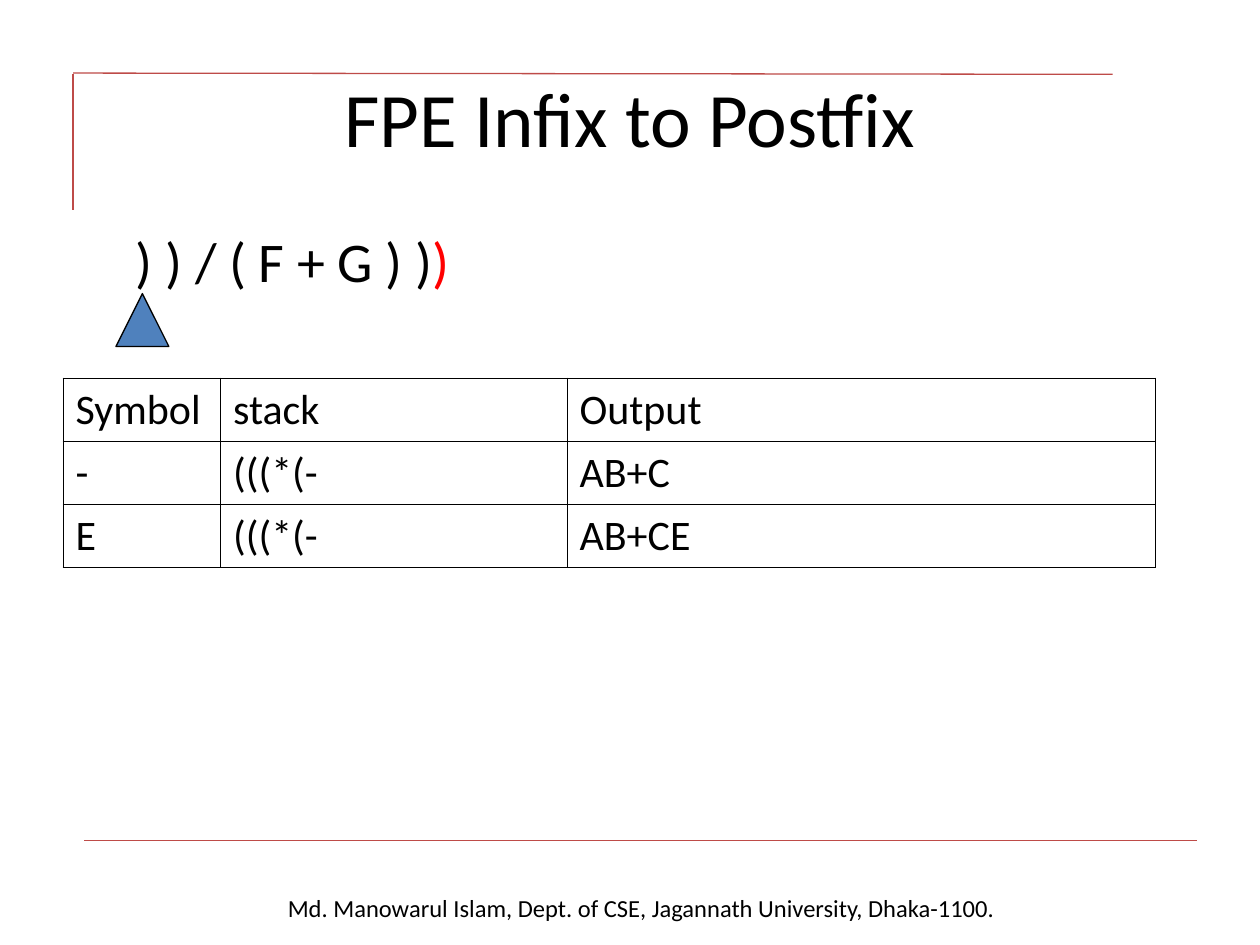
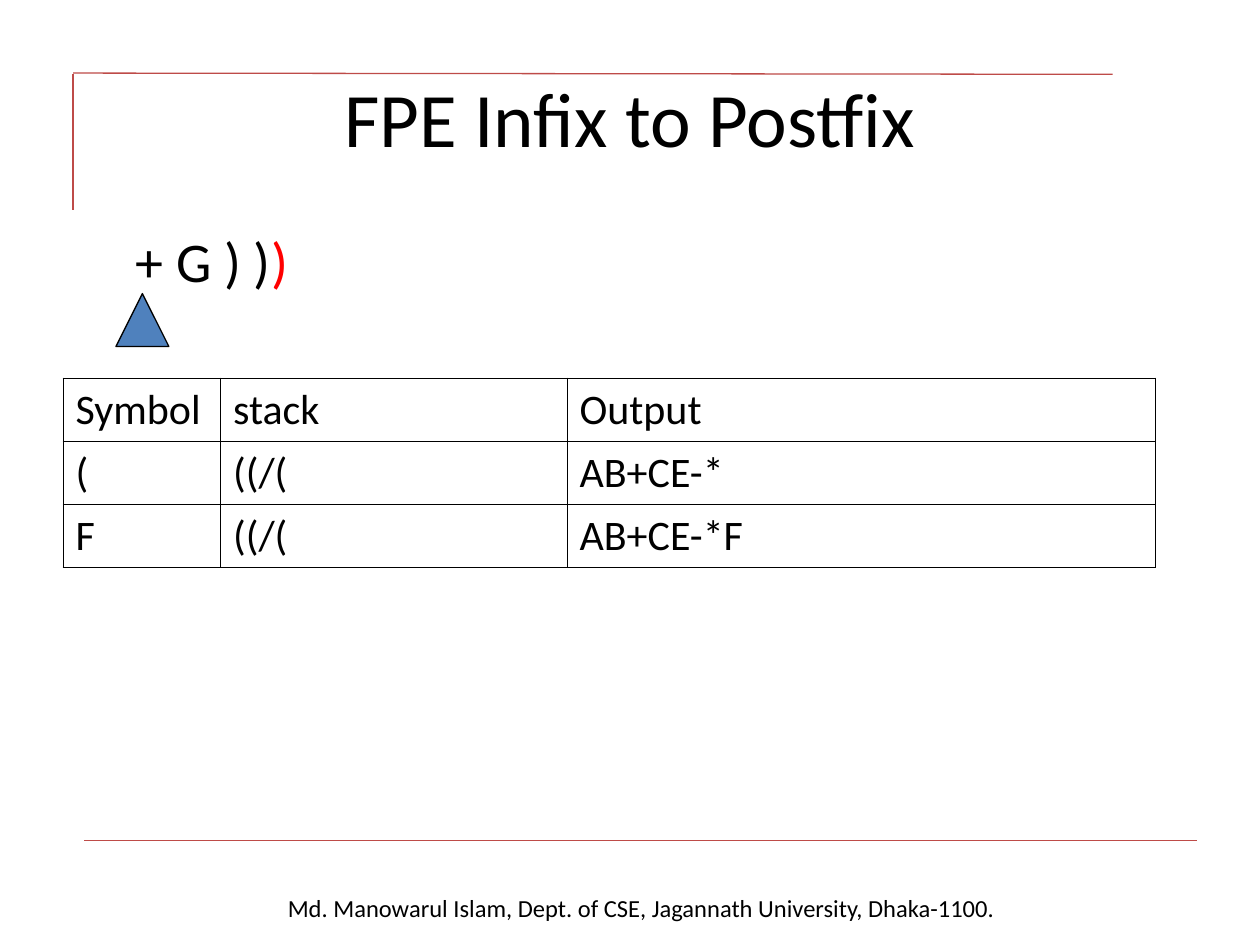
from dataclasses import dataclass

import lxml.etree
import pptx
import pptx.dml.color
import pptx.enum.shapes
import pptx.enum.text
import pptx.oxml
import pptx.oxml.ns
import pptx.presentation
import pptx.shapes.base
import pptx.slide
import pptx.text.text
import pptx.util
from pptx.util import Inches

BLACK = pptx.dml.color.RGBColor(0x00, 0x00, 0x00)
RED = pptx.dml.color.RGBColor(0xFF, 0x00, 0x00)
RULE_RED = pptx.dml.color.RGBColor(0xBE, 0x4B, 0x48)
MARKER_BLUE = pptx.dml.color.RGBColor(0x4F, 0x81, 0xBD)

FONT = "Calibri"
TITLE = "FPE Infix to Postfix"
FOOTER = "Md. Manowarul Islam, Dept. of CSE, Jagannath University, Dhaka-1100."
HEADINGS = ("Symbol", "stack", "Output")
COLUMN_WIDTHS = (1.25, 2.75, 4.67)
ROW_HEIGHT = 0.5
BORDER_WIDTH = pptx.util.Pt(0.45)


@dataclass(frozen=True)
class Rule:
    start: tuple[float, float]
    end: tuple[float, float]


@dataclass(frozen=True)
class ConversionStep:
    remaining: str
    rows: tuple[tuple[str, str, str], ...]


RULES = (
    Rule((0.58, 0.59), (0.58, 1.67)),
    Rule((0.58, 0.58), (8.83, 0.59)),
    Rule((0.67, 6.67), (9.5, 6.67)),
)

STEPS = (
    ConversionStep(
        ") ) / ( F + G ) )", (("-", "(((*(-", "AB+C"), ("E", "(((*(-", "AB+CE"))
    ),
    ConversionStep(
        "+ G ) )", (("(", "((/(", "AB+CE-*"), ("F", "((/(", "AB+CE-*F"))
    ),
)


def add_run(
    paragraph: pptx.text.text._Paragraph,
    text: str,
    size: float,
    color: pptx.dml.color.RGBColor = BLACK,
) -> None:
    run = paragraph.add_run()
    run.text = text
    run.font.name = FONT
    run.font.size = pptx.util.Pt(size)
    run.font.color.rgb = color


def add_text_box(
    slide: pptx.slide.Slide, left: float, top: float, width: float, height: float
) -> pptx.text.text.TextFrame:
    box = slide.shapes.add_textbox(
        Inches(left), Inches(top), Inches(width), Inches(height)
    )
    box.text_frame.word_wrap = True
    return box.text_frame


def add_rule(slide: pptx.slide.Slide, rule: Rule) -> None:
    points = [Inches(value) for value in rule.start + rule.end]
    connector = slide.shapes.add_connector(
        pptx.enum.shapes.MSO_CONNECTOR.STRAIGHT, *points
    )
    connector.line.color.rgb = RULE_RED
    connector.line.width = pptx.util.Pt(0.75)
    lxml.etree.SubElement(
        connector._element.spPr, pptx.oxml.ns.qn("a:effectLst")
    )


def add_frame(slide: pptx.slide.Slide) -> None:
    # Footer
    footer = add_text_box(slide, 0.38, 7.04, 9.42, 0.34)
    footer.auto_size = pptx.enum.text.MSO_AUTO_SIZE.SHAPE_TO_FIT_TEXT
    footer.paragraphs[0].alignment = pptx.enum.text.PP_ALIGN.CENTER
    add_run(footer.paragraphs[0], FOOTER, 14)

    # Decorative rules
    for rule in RULES:
        add_rule(slide, rule)

    # Title
    title = slide.shapes.title
    title.left, title.top = Inches(0.5), Inches(0.3)
    title.width, title.height = Inches(9), Inches(1.25)
    title.text_frame.vertical_anchor = pptx.enum.text.MSO_ANCHOR.MIDDLE
    paragraph = title.text_frame.paragraphs[0]
    paragraph.alignment = pptx.enum.text.PP_ALIGN.CENTER
    add_run(paragraph, TITLE, 44)


def add_expression(slide: pptx.slide.Slide, remaining: str) -> None:
    # Unread input, with the added closing bracket in red
    paragraph = add_text_box(slide, 0.5, 1.75, 9, 4.95).paragraphs[0]
    paragraph._p.get_or_add_pPr().set("marL", str(Inches(0.48)))
    add_run(paragraph, remaining, 32)
    add_run(paragraph, ")", 32, RED)

    # Reading position
    marker = slide.shapes.add_shape(
        pptx.enum.shapes.MSO_SHAPE.ISOSCELES_TRIANGLE,
        Inches(0.92), Inches(2.33), Inches(0.42), Inches(0.42),
    )
    marker.shadow.inherit = False
    marker.fill.solid()
    marker.fill.fore_color.rgb = MARKER_BLUE
    marker.line.color.rgb = BLACK
    marker.line.width = pptx.util.Pt(0.75)


def add_cell_borders(cell: pptx.table._Cell) -> None:
    properties = cell._tc.get_or_add_tcPr()
    for side in ("lnL", "lnR", "lnT", "lnB"):
        properties.append(pptx.oxml.parse_xml(
            f'<a:{side} {pptx.oxml.ns.nsdecls("a")} w="{BORDER_WIDTH}">'
            f'<a:solidFill><a:srgbClr val="{BLACK}"/></a:solidFill></a:{side}>'
        ))


def add_step_table(
    slide: pptx.slide.Slide, rows: tuple[tuple[str, str, str], ...]
) -> None:
    contents = (HEADINGS, *rows)
    table = slide.shapes.add_table(
        len(contents), len(HEADINGS), Inches(0.5), Inches(3),
        Inches(sum(COLUMN_WIDTHS)), Inches(ROW_HEIGHT * len(contents)),
    ).table
    table.first_row = False
    table.horz_banding = False
    for column, width in zip(table.columns, COLUMN_WIDTHS):
        column.width = Inches(width)
    for row, texts in zip(table.rows, contents):
        row.height = Inches(ROW_HEIGHT)
        for cell, text in zip(row.cells, texts):
            add_cell_borders(cell)
            cell.fill.background()
            add_run(cell.text_frame.paragraphs[0], text, 24)


def main() -> None:
    presentation = pptx.Presentation()
    presentation.slide_width = Inches(10)
    presentation.slide_height = Inches(7.5)
    title_only = presentation.slide_layouts.get_by_name("Title Only")
    for step in STEPS:
        slide = presentation.slides.add_slide(title_only)
        add_frame(slide)
        add_expression(slide, step.remaining)
        add_step_table(slide, step.rows)
    presentation.save("out.pptx")


if __name__ == "__main__":
    main()
